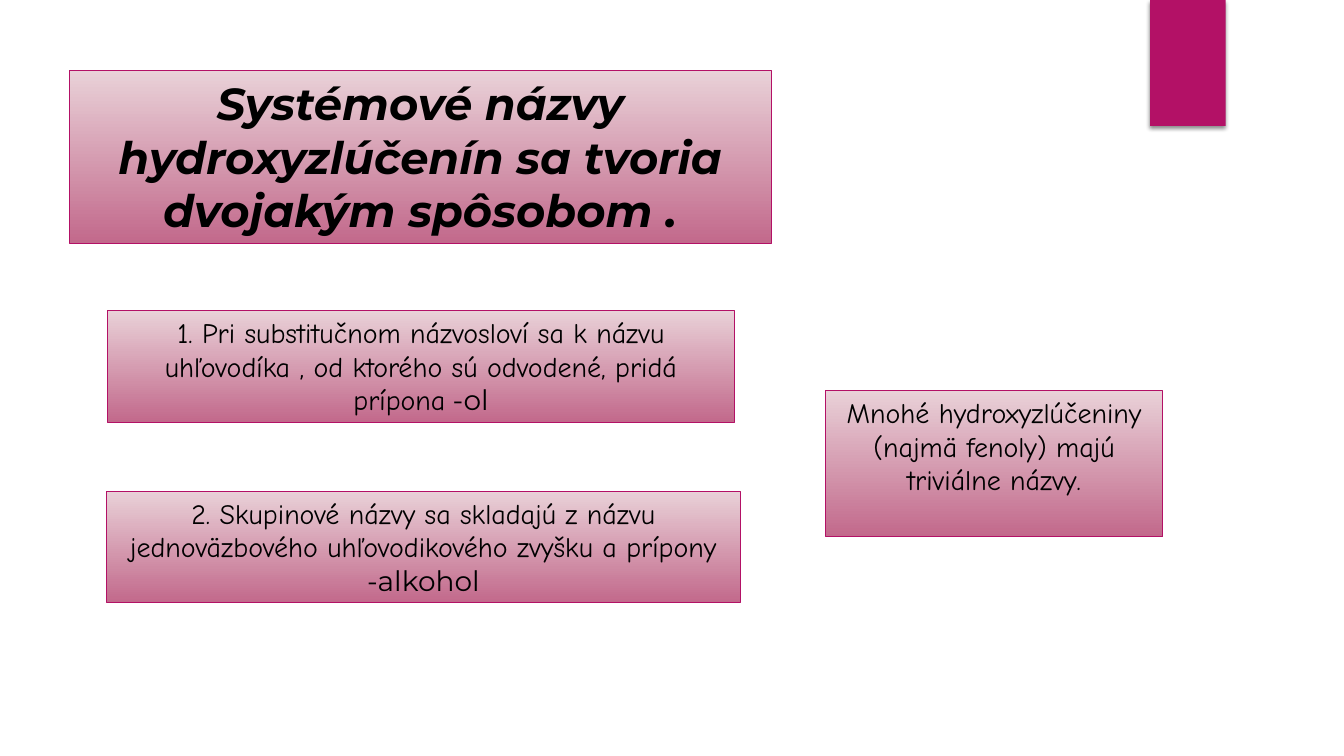
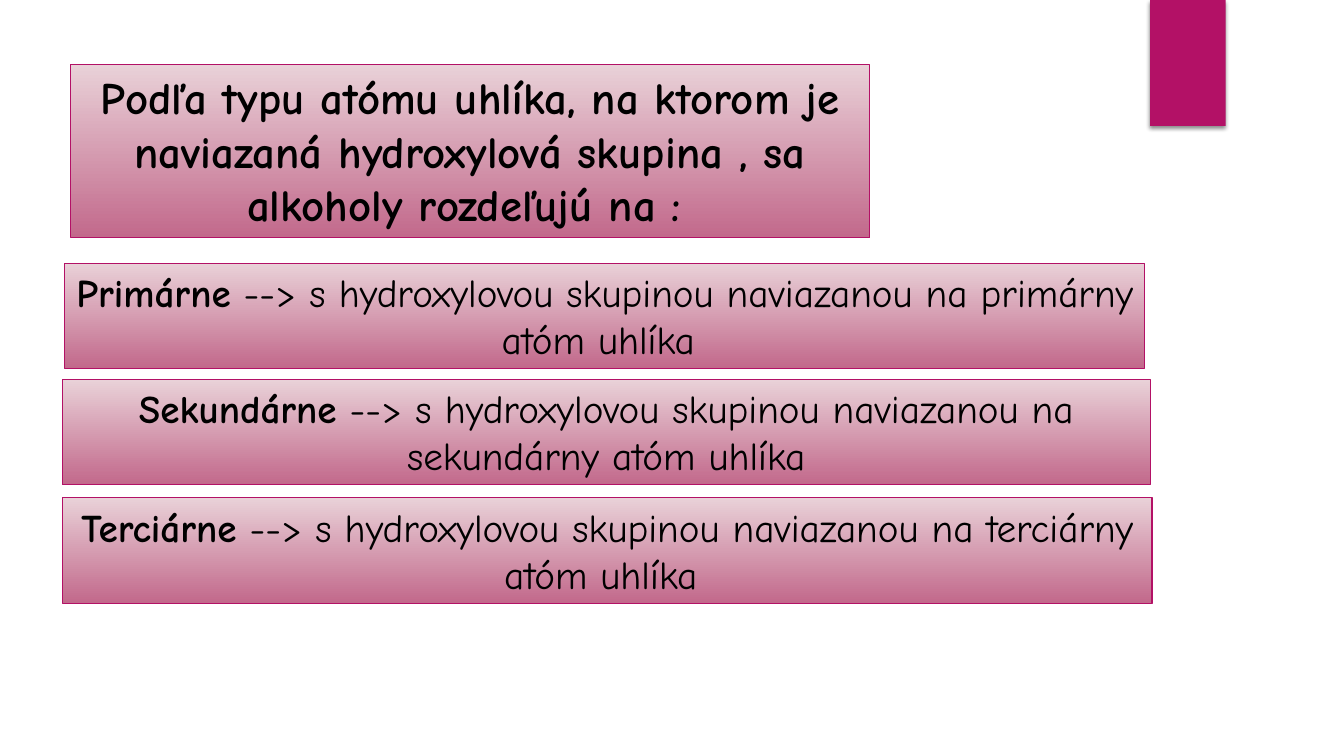
from lxml import etree
from pptx import Presentation
from pptx.dml.color import RGBColor
from pptx.enum.shapes import MSO_SHAPE
from pptx.enum.text import MSO_ANCHOR, MSO_AUTO_SIZE, PP_ALIGN
from pptx.oxml.ns import qn
from pptx.util import Pt

RECT = MSO_SHAPE.RECTANGLE
TOP = MSO_ANCHOR.TOP
NO_FIT = MSO_AUTO_SIZE.NONE
CENTER = PP_ALIGN.CENTER

MAGENTA = RGBColor(0xB3, 0x11, 0x66)
PALE = RGBColor(0xE9, 0xD1, 0xD8)
ROSE = RGBColor(0xC2, 0x69, 0x8B)
BLACK = RGBColor(0, 0, 0)

COMIC = "Comic Neue"
MONT = "Montserrat"
ADVENTOR = "TeX Gyre Adventor"
GAP = (" ", {"size": Pt(18), "name": ADVENTOR})
SUFFIX = {"name": MONT}
BOLD = {"bold": True}

SLIDES = [
    {
        "title": {
            "at": (49.7, 50.4, 501.1, 123.8),
            "font": {"name": MONT, "size": Pt(32), "bold": True, "italic": True},
            "runs": [("Systémové názvy hydroxyzlúčenín sa tvoria dvojakým spôsobom .", {})],
        },
        "font": {"name": COMIC, "size": Pt(20), "bold": False},
        "boxes": [
            ((77, 221.8, 447.5, 79.9), [
                ("1. Pri substitučnom názvosloví sa k názvu uhľovodíka , "
                 "od ktorého sú odvodené, pridá prípona", {}),
                GAP, ("-ol", SUFFIX)]),
            ((76.2, 350.8, 452.5, 79.9), [
                ("2. Skupinové názvy sa skladajú z názvu jednoväzbového "
                 "uhľovodikového zvyšku a prípony", {}),
                GAP, ("-alkohol", SUFFIX)]),
            ((589.7, 279.1, 240.9, 104.3), [
                ("Mnohé hydroxyzlúčeniny (najmä fenoly) majú triviálne názvy.", {})]),
        ],
    },
    {
        "title": {
            "at": (50.4, 46.1, 571, 123.8),
            "font": {"name": COMIC, "size": Pt(32), "bold": True},
            "runs": [("Podľa typu atómu uhlíka, na ktorom je naviazaná hydroxylová "
                      "skupina , sa alkoholy rozdeľujú na :", {}),
                     (" ", {"size": Pt(24)})],
        },
        "font": {"name": COMIC, "size": Pt(28), "bold": False},
        "boxes": [
            ((46.1, 187.9, 771.8, 75.1), [
                ("Primárne", BOLD),
                (" --> s hydroxylovou skupinou naviazanou na primárny atóm uhlíka ", {})]),
            ((44.6, 271.1, 776.9, 75.1), [
                ("Sekundárne", BOLD),
                (" --> s hydroxylovou skupinou naviazanou na sekundárny atóm uhlíka", {})]),
            ((44.6, 355.7, 778.3, 75.1), [
                ("Terciárne", BOLD),
                (" --> s hydroxylovou skupinou naviazanou na terciárny atóm uhlíka ", {})]),
        ],
    },
]


def set_font(font, values):
    for key, value in values.items():
        setattr(font, key, value)


def place(sp, at):
    sp.left, sp.top, sp.width, sp.height = map(Pt, at)


def format_box(sp, at, font, runs):
    place(sp, at)
    sp.fill.gradient()
    sp.fill.gradient_angle = 270
    for stop, color in zip(sp.fill.gradient_stops, (PALE, ROSE)):
        stop.color.rgb = color
    sp.line.color.rgb = MAGENTA
    sp.line.width = Pt(0.75)
    tf = sp.text_frame
    tf.word_wrap = True
    tf.auto_size = NO_FIT
    tf.vertical_anchor = TOP
    p = tf.paragraphs[0]
    p.alignment = CENTER
    p.font.color.rgb = BLACK
    set_font(p.font, font)
    for text, changes in runs:
        r = p.add_run()
        r.text = text
        set_font(r.font, changes)


def add_layout_tab(s):
    tab = s.shapes.add_shape(RECT, 0, 0, 0, 0)
    place(tab, (821.5, 0, 54, 90))
    tab.fill.solid()
    tab.fill.fore_color.rgb = MAGENTA
    tab.line.fill.background()
    tab.shadow.inherit = False
    effects = tab.element.spPr.find(qn("a:effectLst"))
    shadow = etree.SubElement(effects, qn("a:outerShdw"), blurRad=str(Pt(3)),
                              dist=str(Pt(2)), dir="5400000", rotWithShape="0")
    color = etree.SubElement(shadow, qn("a:srgbClr"), val="000000")
    etree.SubElement(color, qn("a:alpha"), val="45000")
    s.slide_layout.shapes.element.insert(2, tab.element)


def main():
    prs = Presentation()
    prs.slide_width, prs.slide_height = Pt(960), Pt(540)
    layout = prs.slide_layouts[5]
    for number, content in enumerate(SLIDES):
        s = prs.slides.add_slide(layout)
        if number == 0:
            add_layout_tab(s)
        format_box(s.shapes.title, **content["title"])
        for at, runs in content["boxes"]:
            sp = s.shapes.add_shape(RECT, 0, 0, 0, 0)
            sp.shadow.inherit = False
            format_box(sp, at, content["font"], runs)
    prs.save("out.pptx")


if __name__ == "__main__":
    main()
